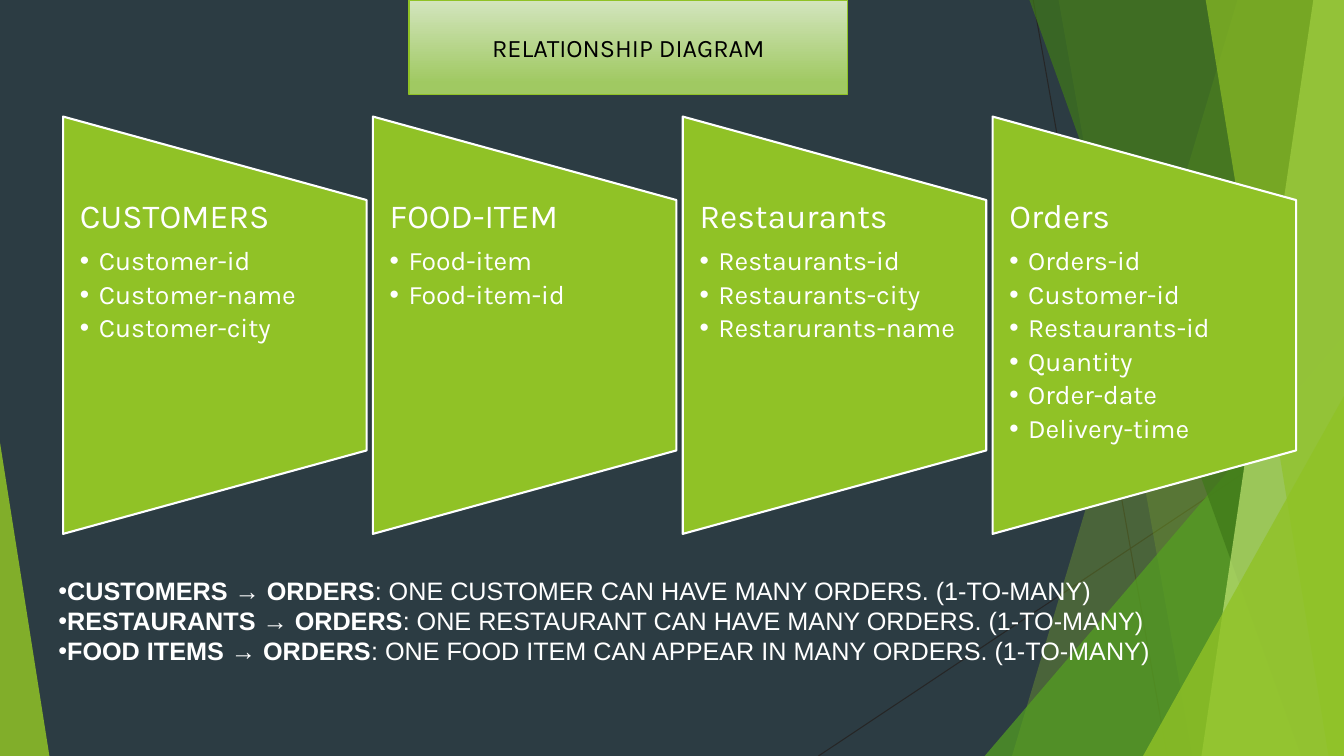
from dataclasses import dataclass
from lxml.etree import SubElement
from pptx import Presentation
from pptx.dml.color import RGBColor
from pptx.enum.shapes import MSO_CONNECTOR as Link, MSO_SHAPE as Form
from pptx.enum.text import MSO_ANCHOR as Anchor, MSO_AUTO_SIZE as Fit, PP_ALIGN as Align
from pptx.oxml.ns import qn
from pptx.shapes.autoshape import Shape
from pptx.slide import Slide
from pptx.text.text import TextFrame
from pptx.util import Pt

HUES = {
    "night": "2C3C43", "lime": "90C226", "leaf": "54A021", "moss": "3F7819",
    "pale": "C0E474", "mist": "D3E5BE", "sage": "A0C962", "ink": "262626",
    "white": "FFFFFF", "black": "000000",
}
WIDE, HIGH = 960, 540
TOP = -0.7
PITCH, BREADTH, DEPTH = 221.3, 216.8, 298.1
START, MIDDLE = 45.1, 232.3


@dataclass
class Ray:
    x1: float
    y1: float
    x2: float
    y2: float


@dataclass
class Shard:
    upper: float
    lower: float
    hue: str
    alpha: int


@dataclass
class Peak:
    left: float
    top: float
    tip: int
    hue: str
    alpha: int
    width: float


@dataclass
class Panel:
    name: str
    fields: list[str]


@dataclass
class Rule:
    pair: str
    note: str


RAYS = [Ray(738, 0, 833.8, HIGH), Ray(WIDE, 290.2, 584.6, HIGH)]
DECOR = [
    Shard(884.2, 722.9, "lime", 30),
    Shard(756, 851.8, "lime", 20),
    Peak(703.4, 239.8, 1, "leaf", 72, 256.6),
    Shard(735.1, 929.5, "moss", 70),
    Shard(938.2, 858.2, "pale", 70),
    Shard(861.1, 949, "lime", 65),
    Peak(816.5, 283, 1, "lime", 80, 143.5),
    Peak(0, 316.1, 0, "lime", 85, 35.3),
]
PANELS = [
    Panel("CUSTOMERS", ["Customer-id", "Customer-name", "Customer-city"]),
    Panel("FOOD-ITEM", ["Food-item", "Food-item-id"]),
    Panel("Restaurants", ["Restaurants-id", "Restaurants-city", "Restarurants-name"]),
    Panel("Orders", ["Orders-id", "Customer-id", "Restaurants-id", "Quantity",
                     "Order-date", "Delivery-time"]),
]
RULES = [
    Rule("CUSTOMERS → ORDERS", ": ONE CUSTOMER CAN HAVE MANY ORDERS. (1-TO-MANY)"),
    Rule("RESTAURANTS → ORDERS", ": ONE RESTAURANT CAN HAVE MANY ORDERS. (1-TO-MANY)"),
    Rule("FOOD ITEMS → ORDERS", ": ONE FOOD ITEM CAN APPEAR IN MANY ORDERS. (1-TO-MANY)"),
]


def shade(name: str) -> RGBColor:
    return RGBColor.from_string(HUES[name])


def write(frame: TextFrame, text: str, *, lead: str = "", size: float = 18,
          font: str = "Karla", hue: str = "white", align: Align = Align.LEFT,
          mark: bool = False, hang: float = 0, level: int = 0,
          space: float = 1, after: float = 0) -> None:
    para = frame.paragraphs[-1]
    if para.runs:
        para = frame.add_paragraph()
    if mark:
        props = para._p.get_or_add_pPr()
        props.set("marL", str(Pt(hang)))
        props.set("indent", str(-Pt(hang)))
        SubElement(props, qn("a:buFont"), typeface="Arial")
        SubElement(props, qn("a:buChar"), char="•")
    para.level, para.alignment = level, align
    para.line_spacing, para.space_after = space, Pt(after)
    for part, bold in ((lead, True), (text, False)):
        if part:
            run = para.add_run()
            run.text = part
            run.font.name, run.font.size, run.font.bold = font, Pt(size), bold
            run.font.color.rgb = shade(hue)


def paint(shape: Shape, hue: str, alpha: int = 100) -> None:
    shape.shadow.inherit = False
    shape.fill.solid()
    shape.fill.fore_color.rgb = shade(hue)
    shape.line.fill.background()
    if alpha < 100:
        tint = shape.fill._xPr.find(qn("a:solidFill"))[0]
        SubElement(tint, qn("a:alpha"), val=str(alpha * 1000))


def draw_ray(slide: Slide, ray: Ray) -> None:
    line = slide.shapes.add_connector(
        Link.STRAIGHT, Pt(ray.x1), Pt(ray.y1), Pt(ray.x2), Pt(ray.y2))
    line.line.color.rgb = shade("ink")
    line.line.width = Pt(0.75)
    SubElement(line._element.spPr, qn("a:effectLst"))


def draw_decor(slide: Slide, item: Shard | Peak) -> None:
    if isinstance(item, Shard):
        pen = slide.shapes.build_freeform(Pt(item.upper), Pt(TOP))
        ends = [(WIDE, TOP), (WIDE, HIGH), (item.lower, HIGH)]
        pen.add_line_segments([(Pt(x), Pt(y)) for x, y in ends])
        shape = pen.convert_to_shape()
    else:
        shape = slide.shapes.add_shape(
            Form.ISOSCELES_TRIANGLE, Pt(item.left), Pt(item.top),
            Pt(item.width), Pt(HIGH - item.top))
        shape.adjustments[0] = item.tip
    paint(shape, item.hue, item.alpha)


def draw_title(slide: Slide) -> None:
    title = slide.shapes.title
    title.left, title.top, title.width, title.height = Pt(292.2), 0, Pt(313.3), Pt(67.5)
    title.fill.gradient()
    title.fill.gradient_angle = 270
    for stop, hue, place in zip(title.fill.gradient_stops, ("mist", "sage"), (0, 0.88)):
        stop.color.rgb, stop.position = shade(hue), place
    title.line.color.rgb = shade("lime")
    title.line.width = Pt(1)
    frame = title.text_frame
    frame.vertical_anchor, frame.auto_size = Anchor.MIDDLE, Fit.NONE
    write(frame, "RELATIONSHIP DIAGRAM", hue="black", align=Align.CENTER)


def draw_panel(slide: Slide, panel: Panel, left: float) -> None:
    shape = slide.shapes.add_shape(
        Form.FLOWCHART_MANUAL_OPERATION, Pt(left + (BREADTH - DEPTH) / 2),
        Pt(MIDDLE - BREADTH / 2), Pt(DEPTH), Pt(BREADTH))
    shape.rotation = 270
    paint(shape, "lime")
    shape.line.color.rgb = shade("white")
    shape.line.width = Pt(1.5)
    box = slide.shapes.add_textbox(Pt(left), Pt(142.7), Pt(BREADTH), Pt(178.8))
    frame = box.text_frame
    frame.word_wrap = True
    frame.margin_left = frame.margin_right = Pt(12)
    frame.margin_top = frame.margin_bottom = 0
    write(frame, panel.name, size=24, space=0.9, after=8.4)
    for field in panel.fields:
        write(frame, field, size=19, mark=True, hang=13.5, level=1, space=0.9, after=3.4)


def draw_rules(slide: Slide) -> None:
    box = slide.shapes.add_textbox(Pt(34.7), Pt(406.9), Pt(894), Pt(72.7))
    frame = box.text_frame
    frame.word_wrap, frame.auto_size = True, Fit.SHAPE_TO_FIT_TEXT
    frame.vertical_anchor = Anchor.MIDDLE
    for rule in RULES:
        write(frame, rule.note, lead=rule.pair, font="Arial", mark=True)


def main() -> None:
    deck = Presentation()
    deck.slide_width, deck.slide_height = Pt(WIDE), Pt(HIGH)
    slide = deck.slides.add_slide(deck.slide_layouts[5])
    slide.background.fill.solid()
    slide.background.fill.fore_color.rgb = shade("night")
    for ray in RAYS:
        draw_ray(slide, ray)
    for item in DECOR:
        draw_decor(slide, item)
    draw_title(slide)
    for index, panel in enumerate(PANELS):
        draw_panel(slide, panel, START + index * PITCH)
    draw_rules(slide)
    deck.save("out.pptx")


if __name__ == "__main__":
    main()
